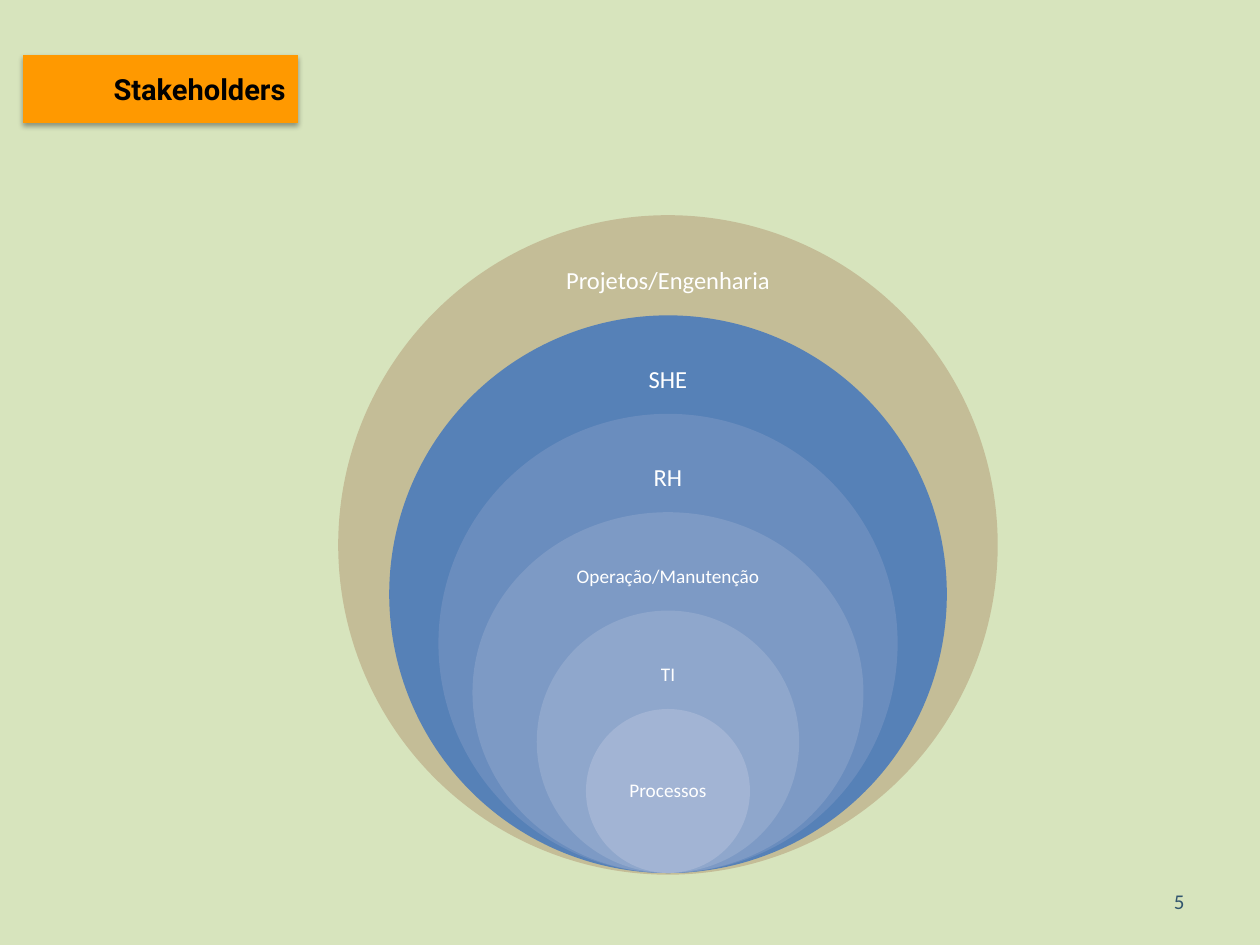
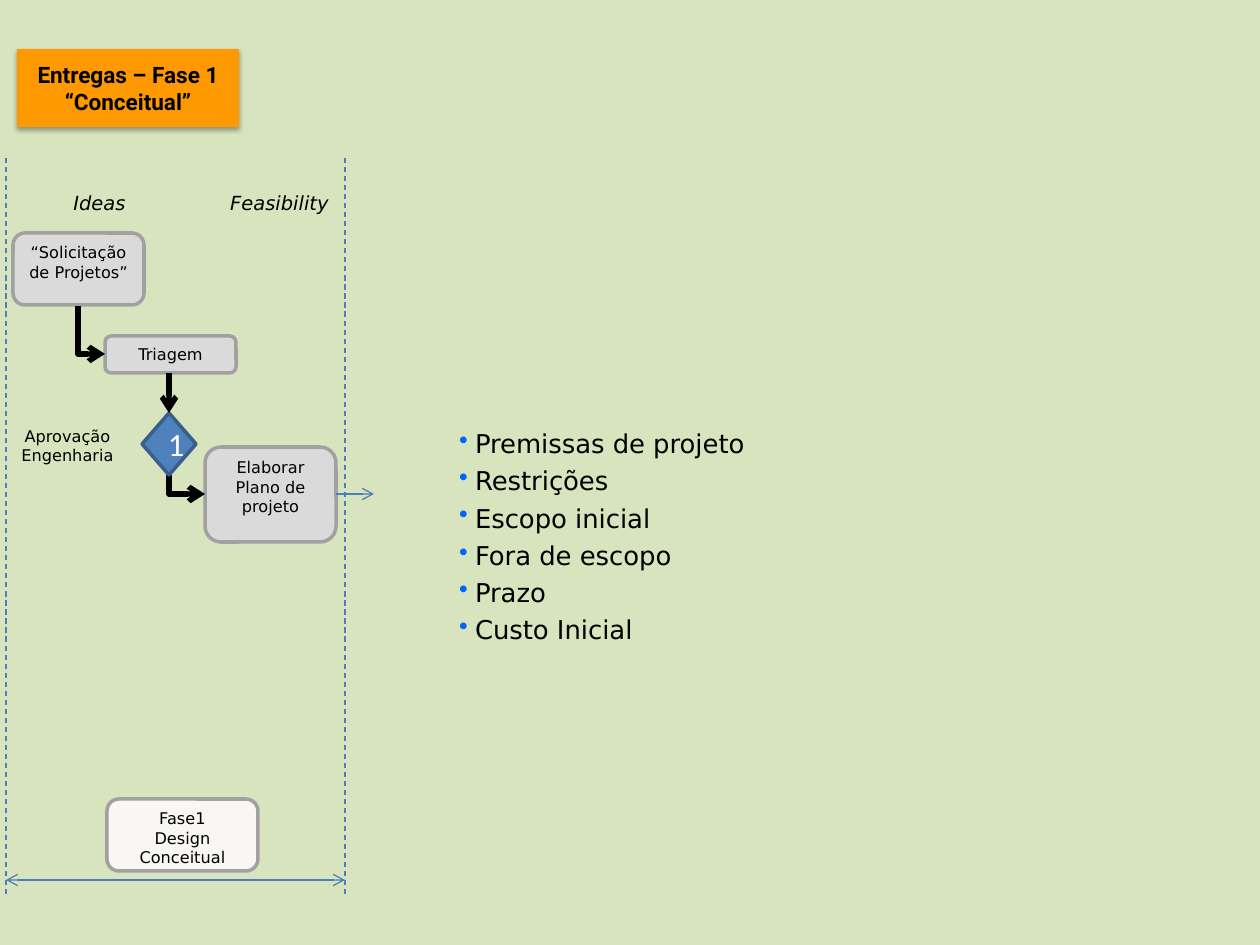
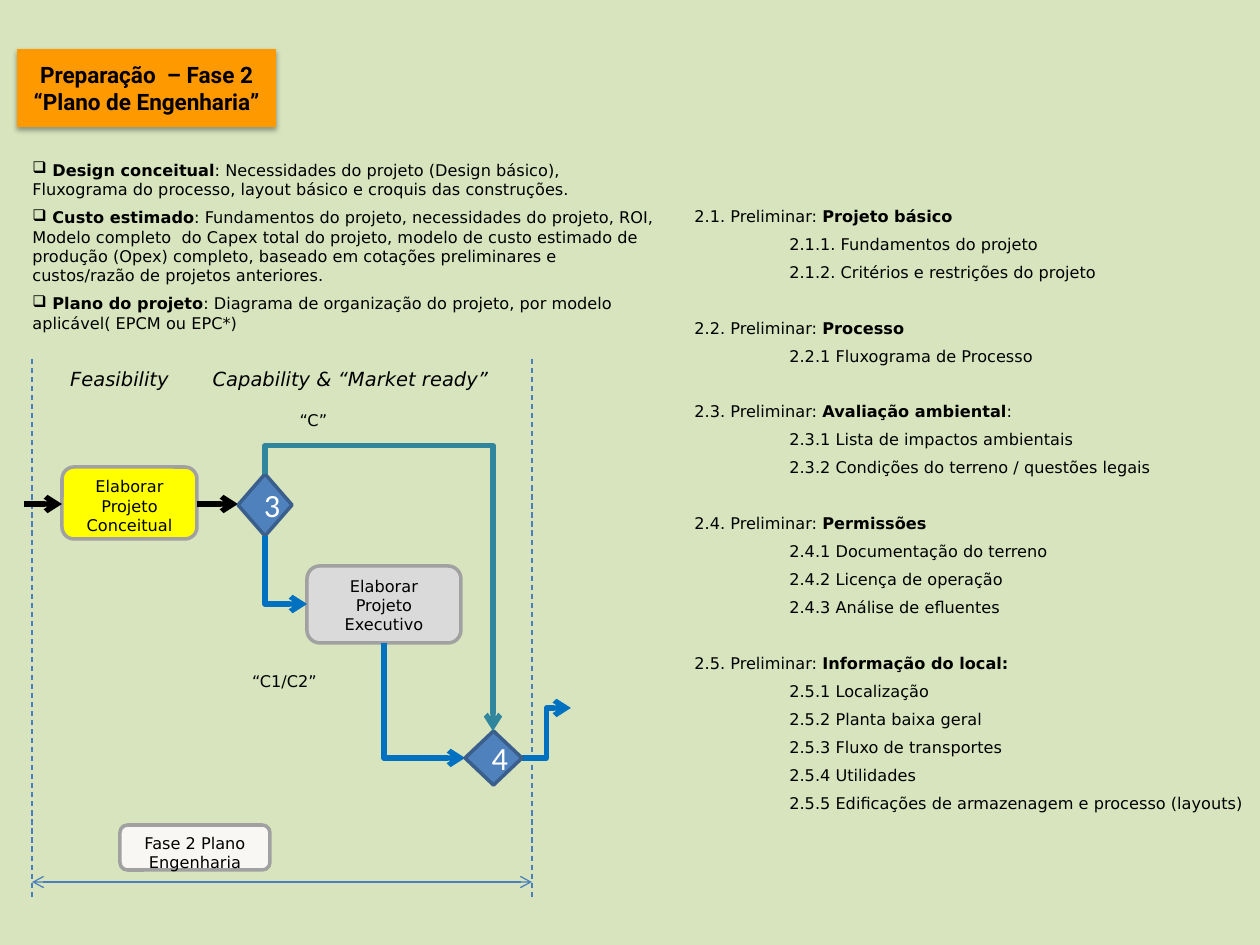
import dataclasses

import lxml.etree
import pptx
import pptx.dml.color
import pptx.enum.dml
import pptx.enum.shapes
import pptx.enum.text
import pptx.oxml.ns
import pptx.util

SHAPE = pptx.enum.shapes.MSO_SHAPE
CONNECTOR = pptx.enum.shapes.MSO_CONNECTOR
ALIGN = pptx.enum.text.PP_ALIGN
ANCHOR = pptx.enum.text.MSO_ANCHOR

PX_PER_INCH = 126
BACKGROUND, TITLE_FILL = "D7E4BD", "FF9900"
BLACK, WHITE, NUMBER = "000000", "FFFFFF", "32556E"
STEP, ACTIVE_STEP, PHASE, STEP_LINE = "DADADA", "FFFF00", "F8F7F3", "A1A1A1"
GATE, GATE_LINE = "4F81BD", "3A5F8C"
THIN, FLOW, BYPASS, BULLET = "4B7EBC", "0070C0", "31859C", "0066FF"
BODY_FONT, TITLE_FONT, LABEL_FONT = "DejaVu Sans", "Roboto", "Calibri"
BODY_SIZE = 9.2

RINGS = [
    ("Projetos/Engenharia", "C4BD97", 246, 14),
    ("SHE", "5681B7", 241, 14),
    ("RH", "6A8DBE", 238, 14),
    ("Operação/Manutenção", "7D9AC5", 210, 11),
    ("TI", "8FA7CC", 170, 11),
    ("Processos", "A2B4D4", 116, 11),
]
WIDE_RING, WIDE_RING_WIDTH = 3, 391

DELIVERABLES = [
    "Premissas de projeto", "Restrições", "Escopo inicial",
    "Fora de escopo", "Prazo", "Custo Inicial",
]

SUMMARY = [
    ("Design conceitual",
     ": Necessidades do projeto (Design básico), Fluxograma do processo, "
     "layout básico e croquis das construções."),
    ("Custo estimado",
     ": Fundamentos do projeto, necessidades do projeto, ROI, Modelo completo  do Capex "
     "total do projeto, modelo de custo estimado de produção (Opex) completo, baseado em "
     "cotações preliminares e custos/razão de projetos anteriores."),
    ("Plano do projeto",
     ": Diagrama de organização do projeto, por modelo aplicável( EPCM ou EPC*)"),
]

OUTLINE = [
    ("2.1. Preliminar: ", "Projeto básico", "",
     ["2.1.1. Fundamentos do projeto", "2.1.2. Critérios e restrições do projeto"]),
    ("2.2. Preliminar: ", "Processo", "", ["2.2.1 Fluxograma de Processo"]),
    ("2.3. Preliminar: ", "Avaliação ambiental", ":",
     ["2.3.1 Lista de impactos ambientais", "2.3.2 Condições do terreno / questões legais"]),
    ("2.4. Preliminar: ", "Permissões", "",
     ["2.4.1 Documentação do terreno", "2.4.2 Licença de operação",
      "2.4.3 Análise de efluentes"]),
    ("2.5. Preliminar: ", "Informação do local:", "",
     ["2.5.1 Localização", "2.5.2 Planta baixa geral", "2.5.3 Fluxo de transportes",
      "2.5.4 Utilidades", "2.5.5 Edificações de armazenagem e processo (layouts)"]),
]


@dataclasses.dataclass(frozen=True)
class Box:
    """A region in px."""
    left: float
    top: float
    width: float
    height: float

    def inner(self, left, top, width, height):
        """Return a box placed relative to this one."""
        return Box(self.left + left, self.top + top, width, height)

    def point(self, x, y):
        """Return a point placed relative to this box."""
        return self.left + x, self.top + y

    def emu(self):
        """Return the four lengths in EMU."""
        return [px(value) for value in dataclasses.astuple(self)]


def px(value):
    """Turn px into EMU."""
    return pptx.util.Emu(round(value * 914400 / PX_PER_INCH))


def color(value):
    """Turn a hex string into a colour."""
    return pptx.dml.color.RGBColor.from_string(value)


def add_xml(parent, tag, **attributes):
    """Append a drawing element with its attributes."""
    return lxml.etree.SubElement(parent, pptx.oxml.ns.qn(tag), attributes)


def format_run(run, size=BODY_SIZE, font=BODY_FONT, ink=BLACK, bold=False, italic=False):
    """Give a run its font."""
    run.font.name, run.font.size = font, pptx.util.Pt(size)
    run.font.bold, run.font.italic = bold, italic
    run.font.color.rgb = color(ink)


def write(text_frame, text, align=ALIGN.CENTER, anchor=ANCHOR.TOP, **font):
    """Fill a text frame with uniformly formatted text."""
    text_frame.text = text
    text_frame.word_wrap = True
    text_frame.vertical_anchor = anchor
    for paragraph in text_frame.paragraphs:
        paragraph.alignment = align
        for run in paragraph.runs:
            format_run(run, **font)


def write_runs(paragraph, pieces):
    """Add runs given as pairs of text and bold flag."""
    for text, bold in pieces:
        run = paragraph.add_run()
        run.text = text
        format_run(run, bold=bold)


def next_paragraph(text_frame, index, space_before):
    """Return the paragraph for an index, spaced unless it is the first."""
    if index == 0:
        return text_frame.paragraphs[0]
    paragraph = text_frame.add_paragraph()
    paragraph.space_before = pptx.util.Pt(space_before)
    return paragraph


def indent(paragraph, margin, hanging=0):
    """Set the left margin and hanging indent of a paragraph in px."""
    properties = paragraph._p.get_or_add_pPr()
    properties.set("marL", str(px(margin)))
    properties.set("indent", str(-px(hanging)))
    return properties


def add_shape(shapes, kind, box, fill=None, line=None):
    """Add a flat preset shape."""
    shape = shapes.add_shape(kind, *box.emu())
    shape.shadow.inherit = False
    if fill:
        shape.fill.solid()
        shape.fill.fore_color.rgb = color(fill)
    else:
        shape.fill.background()
    if line:
        shape.line.color.rgb = color(line)
        shape.line.width = pptx.util.Pt(2)
    else:
        shape.line.fill.background()
    return shape


def add_text_box(shapes, box):
    """Add a wrapping text box and return its text frame."""
    text_frame = shapes.add_textbox(*box.emu()).text_frame
    text_frame.word_wrap = True
    return text_frame


def add_step(slide, box, text, fill=STEP):
    """Add a rounded process step."""
    step = add_shape(slide.shapes, SHAPE.ROUNDED_RECTANGLE, box, fill, STEP_LINE)
    write(step.text_frame, text)


def add_label(slide, box, text, **font):
    """Add an unfilled label."""
    label = add_shape(slide.shapes, SHAPE.ROUNDED_RECTANGLE, box)
    write(label.text_frame, text, **font)


def add_gate(slide, box, number):
    """Add a numbered decision diamond."""
    gate = add_shape(slide.shapes, SHAPE.DIAMOND, box, GATE, GATE_LINE)
    write(gate.text_frame, number, anchor=ANCHOR.MIDDLE, size=18.5, font=LABEL_FONT, ink=WHITE)


def add_line(slide, start, end, ink=THIN, width=0.75, kind=CONNECTOR.STRAIGHT,
             dashed=False, head=False, tail=True):
    """Add a connector with optional arrowheads."""
    connector = slide.shapes.add_connector(kind, *[px(value) for value in (*start, *end)])
    connector.line.color.rgb = color(ink)
    connector.line.width = pptx.util.Pt(width)
    if dashed:
        connector.line.dash_style = pptx.enum.dml.MSO_LINE.DASH
    outline = connector.line._get_or_add_ln()
    for tag, wanted in (("a:headEnd", head), ("a:tailEnd", tail)):
        if wanted:
            add_xml(outline, tag, type="arrow")
    add_xml(connector._element.spPr, "a:effectLst")
    return connector


def add_drop(slide, start, end, ink, bend=None):
    """Add an elbow that leaves vertically, with one corner or a set bend."""
    width, height = end[1] - start[1], end[0] - start[0]
    left = (start[0] + end[0] - width) / 2
    top = (start[1] + end[1] - height) / 2
    connector = add_line(slide, (left, top), (left + width, top + height), ink, 3,
                         CONNECTOR.ELBOW)
    properties = connector._element.spPr
    transform = properties.find(pptx.oxml.ns.qn("a:xfrm"))
    transform.set("rot", "16200000")
    transform.set("flipH", "1")
    geometry = properties.find(pptx.oxml.ns.qn("a:prstGeom"))
    if bend is None:
        geometry.set("prst", "bentConnector2")
    else:
        guides = geometry.find(pptx.oxml.ns.qn("a:avLst"))
        add_xml(guides, "a:gd", name="adj1", fmla=f"val {round(bend * 100000)}")


def add_titled_slide(presentation, box, title, size=12.9, align=ALIGN.CENTER):
    """Add a slide with its title on a shadowed orange plate."""
    slide = presentation.slides.add_slide(presentation.slide_layouts[5])
    plate = slide.shapes.title
    plate.left, plate.top, plate.width, plate.height = box.emu()
    plate.fill.solid()
    plate.fill.fore_color.rgb = color(TITLE_FILL)
    plate.text_frame.auto_size = pptx.enum.text.MSO_AUTO_SIZE.NONE
    write(plate.text_frame, title, align, ANCHOR.MIDDLE, size=size, font=TITLE_FONT, bold=True)
    effects = add_xml(plate._element.spPr, "a:effectLst")
    shadow = add_xml(effects, "a:outerShdw", blurRad=str(pptx.util.Pt(3.1)),
                     dist=str(pptx.util.Pt(1.8)), dir="5400000", rotWithShape="0")
    add_xml(add_xml(shadow, "a:srgbClr", val=BLACK), "a:alpha", val="35000")
    return slide


def add_rings(slide, box):
    """Draw nested circles that share their lowest point, each with a label."""
    shapes = slide.shapes.add_group_shape().shapes
    shrink = box.height * 0.15
    label_height = 65
    for index, (name, fill, label_width, size) in enumerate(RINGS):
        height = box.height - shrink * index
        width = WIDE_RING_WIDTH if index == WIDE_RING else height
        ring = box.inner((box.width - width) / 2, shrink * index, width, height)
        add_shape(shapes, SHAPE.OVAL, ring, fill, fill if index == 0 else None)
        is_core = index == len(RINGS) - 1
        middle = height / 2 if is_core else label_height
        text_frame = add_text_box(shapes, ring.inner(
            (width - label_width) / 2, middle - label_height / 2, label_width, label_height))
        write(text_frame, name, anchor=ANCHOR.MIDDLE, size=size, font=LABEL_FONT, ink=WHITE)
        text_frame.paragraphs[0].line_spacing = 0.9


def add_slide_number(slide, box, number):
    """Write the slide number."""
    write(add_text_box(slide.shapes, box), number, ALIGN.RIGHT, ANCHOR.MIDDLE,
          size=12, font=LABEL_FONT, ink=NUMBER)


def add_lane(slide, box, headings):
    """Draw the dashed edges, span arrow and italic headings of a phase."""
    for x in (0, box.width):
        add_line(slide, box.point(x, 0), box.point(x, box.height), dashed=True, tail=False)
    span = box.height - 16
    add_line(slide, box.point(0, span), box.point(box.width, span), head=True)
    for text, left, top, width in headings:
        add_label(slide, box.inner(left, top, width, 48), text, size=11.1, italic=True)


def add_concept_flow(slide, box):
    """Draw the phase 1 flow."""
    add_lane(slide, box, [("Ideas", 28, 25, 131), ("Feasibility", 208, 25, 131)])
    add_step(slide, box.inner(7, 75, 131, 72), "“Solicitação de Projetos”")
    add_step(slide, box.inner(99, 178, 131, 37), "Triagem")
    add_step(slide, box.inner(199, 289, 131, 95), "Elaborar Plano de projeto")
    add_step(slide, box.inner(101, 641, 151, 72), "Fase1\nDesign Conceitual", PHASE)
    add_label(slide, box.inner(-3, 259, 129, 60), "Aprovação Engenharia")
    add_drop(slide, box.point(72, 148), box.point(99, 196), BLACK)
    add_drop(slide, box.point(163, 317), box.point(199, 336), BLACK)
    add_gate(slide, box.inner(136, 255, 54, 62), "1")
    add_line(slide, box.point(163, 215), box.point(163, 255), BLACK, 3)
    add_line(slide, box.point(330, 336), box.point(368, 336))


def add_deliverables(slide, box):
    """List the deliverables with bullets."""
    text_frame = add_text_box(slide.shapes, box)
    text_frame.margin_left = text_frame.margin_right = 0
    text_frame.margin_top = text_frame.margin_bottom = 0
    for index, text in enumerate(DELIVERABLES):
        paragraph = next_paragraph(text_frame, index, 2.7)
        paragraph.line_spacing = 1.05
        properties = indent(paragraph, 16, 16)
        add_xml(add_xml(properties, "a:buClr"), "a:srgbClr", val=BULLET)
        add_xml(properties, "a:buChar", char="•")
        paragraph.text = text
        format_run(paragraph.runs[0], size=14.8)


def add_plan_flow(slide, box):
    """Draw the phase 2 flow."""
    add_lane(slide, box, [("Feasibility", 22, 0, 131),
                          ("Capability & “Market ready”", 161, 0, 315)])
    add_step(slide, box.inner(30, 108, 135, 72), "Elaborar Projeto Conceitual", ACTIVE_STEP)
    add_step(slide, box.inner(275, 207, 154, 77), "Elaborar Projeto Executivo")
    add_step(slide, box.inner(88, 466, 150, 45), "Fase 2 Plano Engenharia", PHASE)
    add_label(slide, box.inner(200, 304, 105, 55), "“C1/C2”")
    add_label(slide, box.inner(229, 42, 105, 55), "“C”")
    for start, end in ((-8, 30), (165, 206)):
        add_line(slide, box.point(start, 145), box.point(end, 145), BLACK, 3)
    add_line(slide, box.point(490, 399), box.point(539, 349), FLOW, 3, CONNECTOR.ELBOW)
    add_drop(slide, box.point(352, 284), box.point(433, 399), FLOW)
    add_gate(slide, box.inner(206, 115, 54, 62), "3")
    add_gate(slide, box.inner(433, 372, 57, 54), "4")
    add_drop(slide, box.point(233, 177), box.point(275, 245), FLOW)
    add_drop(slide, box.point(233, 115), box.point(461, 372), BYPASS, bend=-0.11)


def add_summary(slide, box):
    """Write the boxed-bullet summary."""
    text_frame = add_text_box(slide.shapes, box)
    for index, (term, description) in enumerate(SUMMARY):
        paragraph = next_paragraph(text_frame, index, 5)
        add_xml(indent(paragraph, 0), "a:buChar", char="❑")
        write_runs(paragraph, [(" " + term, True), (description, False)])


def add_outline(slide, box):
    """Write the numbered outline with indented items."""
    text_frame = add_text_box(slide.shapes, box)
    for index, (number, topic, ending, items) in enumerate(OUTLINE):
        heading = next_paragraph(text_frame, index, 20.7)
        pieces = [(number, False), (topic, True), (ending, False)]
        write_runs(heading, [piece for piece in pieces if piece[0]])
        for item in items:
            paragraph = text_frame.add_paragraph()
            paragraph.space_before = pptx.util.Pt(5)
            indent(paragraph, 95)
            write_runs(paragraph, [(item, False)])


def main():
    """Build and save the presentation."""
    presentation = pptx.Presentation()
    presentation.slide_width, presentation.slide_height = px(1260), px(945)
    background = presentation.slide_master.background.fill
    background.solid()
    background.fore_color.rgb = color(BACKGROUND)

    slide = add_titled_slide(presentation, Box(23, 55, 275, 68), "Stakeholders", 16.6, ALIGN.RIGHT)
    add_rings(slide, Box(340, 217, 656, 656))
    add_slide_number(slide, Box(903, 876, 294, 50), "5")

    slide = add_titled_slide(presentation, Box(17, 49, 222, 78),
                             "Entregas – Fase 1\n“Conceitual”")
    add_concept_flow(slide, Box(6, 158, 339, 738))
    add_deliverables(slide, Box(459, 426, 397, 220))

    slide = add_titled_slide(presentation, Box(17, 49, 259, 78),
                             "Preparação  – Fase 2\n“Plano de Engenharia”")
    add_plan_flow(slide, Box(32, 359, 500, 539))
    add_summary(slide, Box(20, 154, 651, 189))
    add_outline(slide, Box(682, 200, 578, 649))

    presentation.save("out.pptx")


if __name__ == "__main__":
    main()
